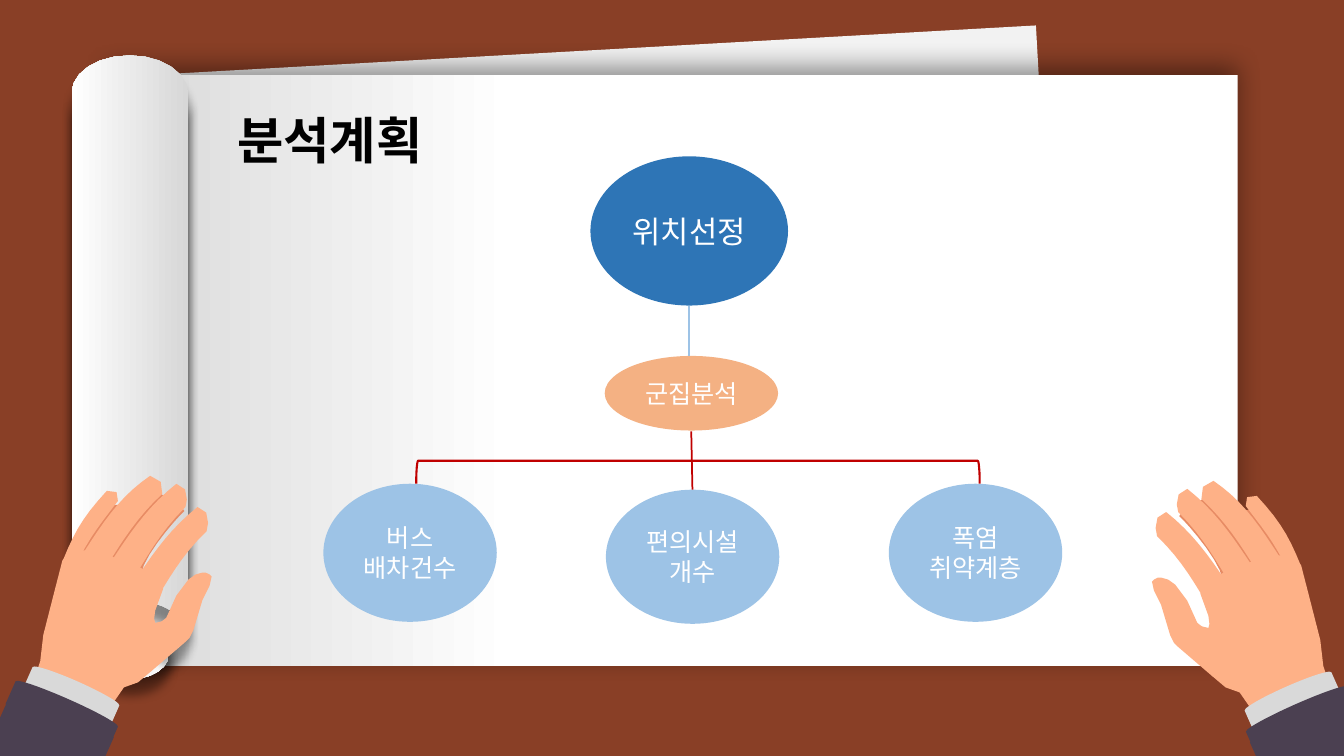
import math
from dataclasses import dataclass

import pptx
import pptx.dml.color
import pptx.enum.shapes
import pptx.enum.text
import pptx.oxml.ns
import pptx.shapes.autoshape
import pptx.shapes.shapetree
import pptx.slide
import pptx.text.text
import pptx.util
from lxml import etree
from pptx.dml.color import RGBColor
from pptx.enum.shapes import MSO_SHAPE
from pptx.util import Cm

FONT_NAME = "Noto Sans CJK KR"
BROWN = RGBColor(0x89, 0x3F, 0x26)
PAPER = RGBColor(0xF2, 0xF2, 0xF2)
WHITE = RGBColor(0xFF, 0xFF, 0xFF)
BLACK = RGBColor(0x00, 0x00, 0x00)
SHADE = RGBColor(0xD7, 0xD7, 0xD7)
SKIN = RGBColor(0xFE, 0xB1, 0x87)
SKIN_SHADOW = RGBColor(0xE7, 0x8B, 0x64)
CUFF = RGBColor(0xD9, 0xD9, 0xD9)
SLEEVE = RGBColor(0x4B, 0x40, 0x51)
DARK_BLUE = RGBColor(0x2E, 0x75, 0xB6)
LIGHT_BLUE = RGBColor(0x9D, 0xC3, 0xE6)
ORANGE = RGBColor(0xF4, 0xB1, 0x83)
RED = RGBColor(0xC0, 0x00, 0x00)

OUTLINE_UNIT = Cm(2.54) / 100
CURVE_STEP = 12  # outline units between points on a curve
MIRROR_WIDTH = 34.37  # cm: sum of a right-hand x and its left-hand x
LEFT_HAND_RISE = 0.13

# Outlines: a pair is a point on a straight edge, six numbers are a curve.
Outline = list[tuple[int, ...]]
ROLL: Outline = [
    (129, 55), (161, 55, 187, 72, 187, 93), (187, 625), (184, 619),
    (175, 605, 153, 595, 129, 595), (104, 595, 82, 605, 73, 619), (71, 625),
    (71, 93), (71, 72, 96, 55, 129, 55)]
KNUCKLES: Outline = [
    (1277, 551), (1272, 542, 1253, 513, 1245, 506), (1230, 506), (1207, 501),
    (1195, 494), (1187, 499), (1183, 502, 1166, 507, 1170, 512),
    (1175, 516, 1211, 556, 1213, 575), (1246, 577), (1271, 570), (1277, 551)]
FINGERS: list[Outline] = [
    [(1178, 485), (1207, 508, 1224, 534, 1242, 561), (1218, 575),
     (1204, 552, 1192, 531, 1169, 508), (1167, 504, 1165, 486, 1178, 485)],
    [(1204, 477), (1233, 497, 1248, 519, 1270, 553), (1246, 565),
     (1232, 542, 1216, 517, 1192, 495), (1190, 490, 1194, 474, 1204, 477)],
    [(1157, 508), (1186, 531, 1203, 557, 1221, 584), (1197, 598),
     (1183, 575, 1171, 554, 1148, 532), (1146, 527, 1144, 509, 1157, 508)],
    [(1247, 492), (1270, 517, 1279, 532, 1291, 562), (1274, 558),
     (1261, 534, 1255, 527, 1236, 502), (1233, 497, 1239, 487, 1247, 492)]]
THUMB: Outline = [
    (1203, 671), (1168, 641), (1165, 638), (1161, 630), (1152, 600), (1145, 586),
    (1143, 577), (1145, 575), (1149, 573), (1152, 573), (1159, 575), (1166, 580),
    (1178, 596), (1188, 618), (1210, 635), (1203, 671)]
PALM: Outline = [
    (1203, 671), (1216, 682), (1230, 687), (1239, 700), (1243, 707),
    (1246, 708, 1253, 708, 1259, 706), (1279, 698), (1300, 687), (1315, 676),
    (1315, 667), (1313, 661), (1310, 635), (1299, 592), (1291, 561), (1283, 551),
    (1254, 551), (1240, 558), (1216, 567), (1205, 573), (1191, 589), (1199, 611),
    (1200, 619), (1199, 623), (1190, 621), (1186, 621), (1181, 627), (1192, 654),
    (1203, 671)]
HAND_PARTS = [(KNUCKLES, SKIN_SHADOW), *((finger, SKIN) for finger in FINGERS),
              (THUMB, SKIN), (PALM, SKIN)]


@dataclass
class Placement:
    """Scale and shift of an outline, in outline units."""
    scale_x: float = 1
    shift_x: float = 0
    scale_y: float = 1
    shift_y: float = 0


@dataclass
class Block:
    kind: MSO_SHAPE
    left: float
    top: float
    width: float
    height: float
    color: RGBColor
    rotation: float = 0
    text: str = ""
    size: int = 18


RIGHT_HAND = Placement()
LEFT_HAND = Placement(scale_x=-1, shift_x=1353, shift_y=-5)
ROLLS = [(Placement(scale_y=-1, shift_y=714), 0),
         (Placement(0.67, 42.57, -0.67, 710.85), 0),
         (Placement(0.67, 42.57, 0.67, 232.15), 180),
         (Placement(), 180)]
BACK_PAPER = Block(MSO_SHAPE.RECTANGLE, 3.63, 1.27, 22.91, 14.88, PAPER, 356.8)
PAGE = Block(MSO_SHAPE.RECTANGLE, 2.72, 1.9, 28.47, 14.88, WHITE)
ARM = [Block(MSO_SHAPE.FLOWCHART_STORED_DATA, 32.18, 16.46, 0.76, 2.39, CUFF, 66.1),
       Block(MSO_SHAPE.FLOWCHART_STORED_DATA, 32.41, 16.69, 0.76, 2.82, SLEEVE, 66.1),
       Block(MSO_SHAPE.RECTANGLE, 31.72, 18.06, 2.82, 1.68, SLEEVE, 335.9)]
NODES = [
    Block(MSO_SHAPE.OVAL, 15.27, 12.34, 4.37, 3.38, LIGHT_BLUE, text="편의시설\n개수"),
    Block(MSO_SHAPE.OVAL, 22.4, 12.19, 4.37, 3.48, LIGHT_BLUE, text="폭염\n취약계층"),
    Block(MSO_SHAPE.OVAL, 8.15, 12.19, 4.37, 3.48, LIGHT_BLUE, text="버스\n배차건수"),
    Block(MSO_SHAPE.OVAL, 15.24, 8.97, 4.37, 1.88, ORANGE, text="군집분석"),
    Block(MSO_SHAPE.OVAL, 14.88, 3.94, 4.98, 3.76, DARK_BLUE, text="위치선정", size=22)]
LINKS = [(17.42, 10.87, 17.45, 12.34, RED), (17.37, 7.7, 17.37, 8.97, LIGHT_BLUE)]


def set_text(frame: pptx.text.text.TextFrame, text: str, size: int, color: RGBColor,
             alignment: pptx.enum.text.PP_ALIGN, bold: bool = False) -> None:
    frame.text = text
    frame.word_wrap = True
    for paragraph in frame.paragraphs:
        paragraph.alignment = alignment
        font = paragraph.font
        font.size, font.bold, font.name = pptx.util.Pt(size), bold, FONT_NAME
        font.color.rgb = color
        etree.SubElement(font._element, pptx.oxml.ns.qn("a:ea"), typeface=FONT_NAME)


def paint(shape: pptx.shapes.autoshape.Shape, color: RGBColor) -> None:
    shape.shadow.inherit = False
    shape.fill.solid()
    shape.fill.fore_color.rgb = color
    shape.line.fill.background()


def add_block(shapes: pptx.shapes.shapetree.SlideShapes, block: Block,
              mirrored: bool = False) -> pptx.shapes.autoshape.Shape:
    left, top, rotation = block.left, block.top, block.rotation
    if mirrored:
        left = MIRROR_WIDTH - left - block.width
        top, rotation = top - LEFT_HAND_RISE, 360 - rotation
    shape = shapes.add_shape(block.kind, Cm(left), Cm(top), Cm(block.width), Cm(block.height))
    shape.rotation = rotation
    if mirrored:
        shape._element.spPr.xfrm.set("flipH", "1")
    paint(shape, block.color)
    if block.text:
        shape.text_frame.vertical_anchor = pptx.enum.text.MSO_ANCHOR.MIDDLE
        set_text(shape.text_frame, block.text, block.size, WHITE, pptx.enum.text.PP_ALIGN.CENTER)
    return shape


def add_outline(shapes: pptx.shapes.shapetree.SlideShapes, outline: Outline,
                placement: Placement, color: RGBColor) -> pptx.shapes.autoshape.Shape:
    points: list[tuple[float, ...]] = [outline[0]]
    for segment in outline[1:]:
        if len(segment) == 2:
            points.append(segment)
            continue
        controls = [points[-1], segment[:2], segment[2:4], segment[4:]]
        steps = math.ceil(math.dist(controls[0], controls[3]) / CURVE_STEP)
        for step in range(1, steps + 1):
            t = step / steps
            weights = ((1 - t) ** 3, 3 * t * (1 - t) ** 2, 3 * t * t * (1 - t), t ** 3)
            points.append(tuple(sum(weight * control[axis] for weight, control
                                    in zip(weights, controls)) for axis in (0, 1)))
    placed = [((x * placement.scale_x + placement.shift_x) * OUTLINE_UNIT,
               (y * placement.scale_y + placement.shift_y) * OUTLINE_UNIT) for x, y in points]
    builder = shapes.build_freeform(*placed[0], scale=1.0)
    builder.add_line_segments(placed[1:], close=True)
    shape = builder.convert_to_shape()
    paint(shape, color)
    return shape


def shade(shape: pptx.shapes.autoshape.Shape, stops: list[tuple[float, RGBColor]],
          angle: int, blur: int, distance: int, direction: int) -> None:
    """Give a shape a two-colour gradient and a 40 % black shadow."""
    shape.fill.gradient()
    shape.fill.gradient_angle = angle
    for stop, (position, color) in zip(shape.fill.gradient_stops, stops):
        stop.position, stop.color.rgb = position, color
    effects = shape._element.spPr.find(pptx.oxml.ns.qn("a:effectLst"))
    shadow = etree.SubElement(
        effects, pptx.oxml.ns.qn("a:outerShdw"), blurRad=str(pptx.util.Pt(blur)),
        dist=str(pptx.util.Pt(distance)), dir=str(direction * 60000), rotWithShape="0")
    black = etree.SubElement(shadow, pptx.oxml.ns.qn("a:srgbClr"), val=str(BLACK))
    etree.SubElement(black, pptx.oxml.ns.qn("a:alpha"), val="40000")


def add_hand(shapes: pptx.shapes.shapetree.SlideShapes, placement: Placement) -> None:
    for outline, color in HAND_PARTS:
        add_outline(shapes, outline, placement, color)
    for block in ARM:
        add_block(shapes, block, mirrored=placement.scale_x < 0)


def add_links(shapes: pptx.shapes.shapetree.SlideShapes) -> None:
    bracket = add_block(shapes, Block(MSO_SHAPE.LEFT_BRACKET, 17.3, 4.8, 0.58, 14.2, RED, 270))
    bracket._element.spPr.xfrm.set("flipH", "1")
    bracket.fill.background()
    bracket.line.color.rgb = RED
    bracket.line.width = pptx.util.Pt(1.5)
    for *ends, color in LINKS:
        link = shapes.add_connector(pptx.enum.shapes.MSO_CONNECTOR.STRAIGHT, *map(Cm, ends))
        link.line.color.rgb = color
        link.line.width = pptx.util.Pt(1.25)
        etree.SubElement(link._element.spPr, pptx.oxml.ns.qn("a:effectLst"))


def place_title(slide: pptx.slide.Slide) -> None:
    title = slide.shapes.title
    title.left, title.top, title.width, title.height = Cm(5.72), Cm(2.62), Cm(9.53), Cm(1.8)
    frame = title.text_frame
    frame.vertical_anchor = pptx.enum.text.MSO_ANCHOR.TOP
    frame.auto_size = pptx.enum.text.MSO_AUTO_SIZE.NONE
    set_text(frame, "분석계획", 36, BLACK, pptx.enum.text.PP_ALIGN.LEFT, bold=True)
    slide.shapes._spTree.append(title._element)  # in front of the page


def main() -> None:
    presentation = pptx.Presentation()
    presentation.slide_width, presentation.slide_height = Cm(33.87), Cm(19.05)
    slide = presentation.slides.add_slide(presentation.slide_layouts[5])
    slide.background.fill.solid()
    slide.background.fill.fore_color.rgb = BROWN
    shapes = slide.shapes
    add_block(shapes, BACK_PAPER)
    shade(add_block(shapes, PAGE), [(0.64, WHITE), (1, SHADE)], 180, 18, 6, 270)
    add_hand(shapes, RIGHT_HAND)
    for placement, angle in ROLLS:
        roll = add_outline(shapes, ROLL, placement, WHITE)
        shade(roll, [(0, SHADE), (1, WHITE)], angle, 7, 11, 90)
    add_hand(shapes, LEFT_HAND)
    place_title(slide)
    for node in NODES:
        add_block(shapes, node)
    add_links(shapes)
    presentation.save("out.pptx")


if __name__ == "__main__":
    main()
